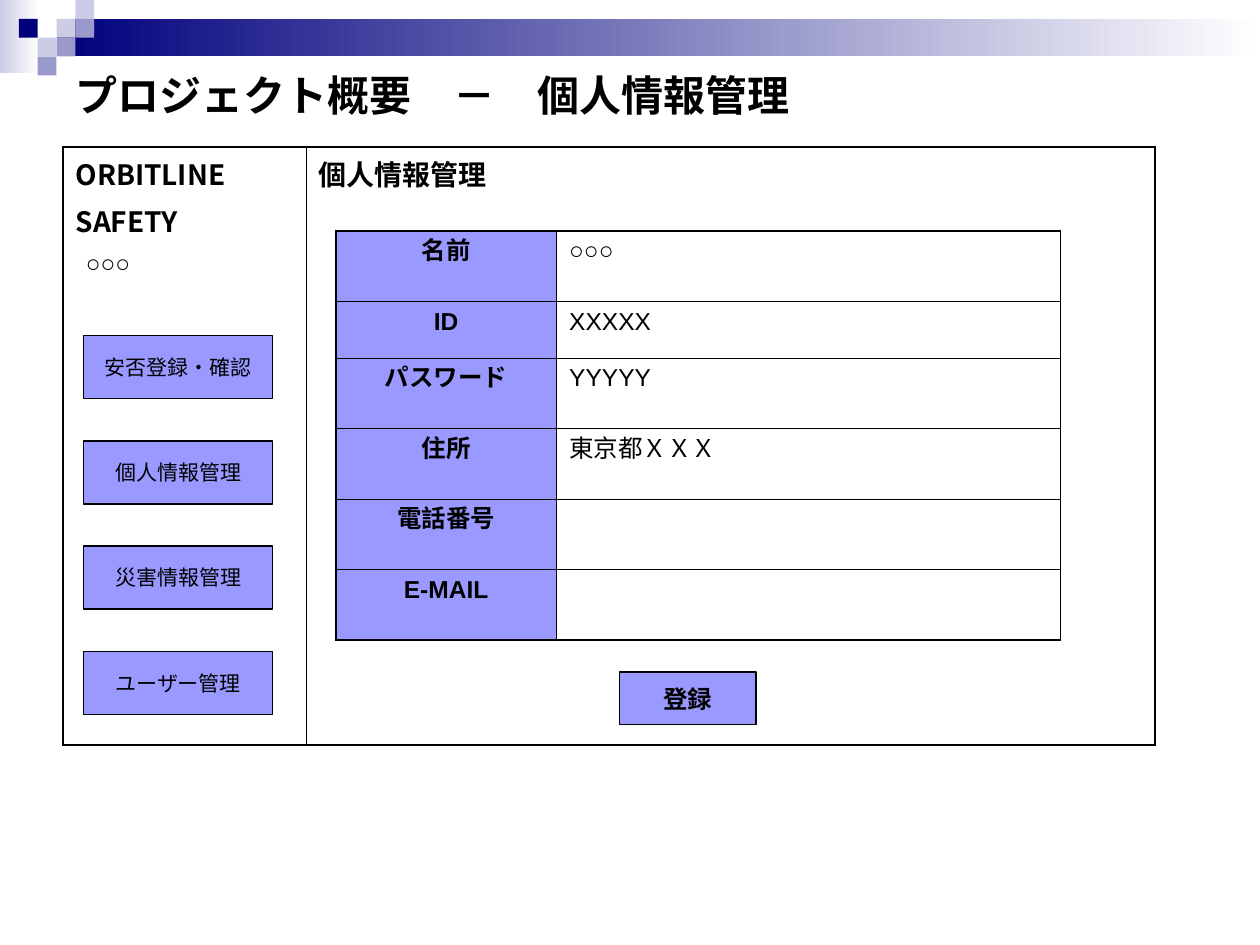
from dataclasses import dataclass
from typing import NamedTuple

from lxml.etree import SubElement
from pptx import Presentation
from pptx.dml.color import RGBColor as Rgb
from pptx.enum.shapes import MSO_SHAPE as Geo
from pptx.enum.text import MSO_ANCHOR as Anchor, PP_ALIGN as Align
from pptx.oxml.ns import qn
from pptx.util import Cm, Pt


@dataclass(frozen=True)
class Theme:
    black: str = "000000"
    white: str = "FFFFFF"
    navy: str = "00007D"
    mid: str = "9999CC"
    pale: str = "CCCCE6"
    key: str = "9999FF"
    font: str = "Arial"
    head_font: str = "Noto Sans CJK JP"
    title: float = 24
    head: float = 16
    body: float = 14
    small: float = 12
    thick: float = 1.08
    thin: float = 0.45
    edge: float = 0.75


class Box(NamedTuple):
    left: float
    top: float
    width: float
    height: float

    def cm(self) -> list:
        return [Cm(n) for n in self]


class Square(NamedTuple):
    col: int
    row: int
    color: str


class Field(NamedTuple):
    label: str
    value: str
    height: float


T = Theme()
UNIT = 0.38
SQUARES = [
    Square(3, 1, T.pale), Square(4, 0, T.pale), Square(4, 1, T.mid),
    Square(2, 2, T.pale), Square(1, 1, T.navy), Square(3, 2, T.mid),
    Square(2, 3, T.mid),
]
MENU = ["安否登録・確認", "個人情報管理", "災害情報管理", "ユーザー管理"]
FIELDS = [
    Field("名前", "○○○", 1.42),
    Field("ID", "XXXXX", 1.14),
    Field("パスワード", "YYYYY", 1.42),
    Field("住所", "東京都ＸＸＸ", 1.42),
    Field("電話番号", "", 1.42),
    Field("E-MAIL", "", 1.42),
]


def write(frame, text: str, *, size: float = T.body, bold: bool = False,
          font: str = T.font, align=Align.LEFT, before: float = 0) -> None:
    """Fill a text frame, one paragraph to a line."""
    for i, line in enumerate(text.split("\n")):
        para = frame.add_paragraph() if i else frame.paragraphs[0]
        para.alignment = align
        para.space_before = Pt(before)
        run = para.add_run()
        run.text = line
        run.font.size, run.font.bold, run.font.name = Pt(size), bold, font
        run.font.color.rgb = Rgb.from_string(T.black)
        SubElement(run.font._element, qn("a:ea"), typeface=font)


def add_rect(slide, box: Box, color: str):
    rect = slide.shapes.add_shape(Geo.RECTANGLE, *box.cm())
    rect.shadow.inherit = False
    rect.line.fill.background()
    rect.fill.solid()
    rect.fill.fore_color.rgb = Rgb.from_string(color)
    return rect


def add_fade(slide, box: Box, color: str) -> None:
    fill = add_rect(slide, box, color).fill
    fill.gradient()
    fill.gradient_angle = 180
    for stop, tone in zip(fill.gradient_stops, (T.white, color)):
        stop.color.rgb = Rgb.from_string(tone)


def add_button(slide, box: Box, text: str, **style) -> None:
    rect = add_rect(slide, box, T.key)
    rect.line.color.rgb = Rgb.from_string(T.black)
    rect.line.width = Pt(T.edge)
    frame = rect.text_frame
    frame.word_wrap = False
    frame.vertical_anchor = Anchor.MIDDLE
    write(frame, text, align=Align.CENTER, **style)


def add_label(slide, box: Box, text: str, anchor=Anchor.TOP, **style) -> None:
    frame = slide.shapes.add_textbox(*box.cm()).text_frame
    frame.word_wrap = True
    frame.vertical_anchor = anchor
    write(frame, text, **style)


def add_grid(slide, left: float, top: float, cols: list[float],
             rows: list[float]):
    """Add a plain table: thick lines round it, thin lines inside."""
    box = Box(left, top, sum(cols), sum(rows))
    grid = slide.shapes.add_table(len(rows), len(cols), *box.cm()).table
    grid.first_row = grid.horz_banding = False
    for col, width in zip(grid.columns, cols):
        col.width = Cm(width)
    for row, height in zip(grid.rows, rows):
        row.height = Cm(height)
    for r in range(len(rows)):
        for c in range(len(cols)):
            outer = {"L": c == 0, "R": c == len(cols) - 1,
                     "T": r == 0, "B": r == len(rows) - 1}
            cell = grid.cell(r, c)
            props = cell._tc.get_or_add_tcPr()
            for side, out in outer.items():
                width = Pt(T.thick if out else T.thin)
                line = SubElement(props, qn(f"a:ln{side}"), w=str(width))
                fill = SubElement(line, qn("a:solidFill"))
                SubElement(fill, qn("a:srgbClr"), val=T.black)
            cell.fill.background()
    return grid


def paint(cell, color: str) -> None:
    cell.fill.solid()
    cell.fill.fore_color.rgb = Rgb.from_string(color)


def main() -> None:
    deck = Presentation()
    deck.slide_width, deck.slide_height = Cm(25.4), Cm(19.05)
    slide = deck.slides.add_slide(deck.slide_layouts[6])

    # Top band and squares
    add_fade(slide, Box(0, 0, 0.79, 1.47), T.pale)
    add_fade(slide, Box(3 * UNIT, UNIT, 25.4 - 3 * UNIT, 2 * UNIT), T.navy)
    for sq in SQUARES:
        add_rect(slide, Box(sq.col * UNIT, sq.row * UNIT, UNIT, UNIT), sq.color)

    # Title
    add_label(slide, Box(1.27, 1.27, 22.86, 1.27),
              "プロジェクト概要　－　個人情報管理", Anchor.MIDDLE,
              size=T.title, bold=True)

    # Screen frame: menu side and page side
    frame = add_grid(slide, 1.27, 2.96, [4.9, 17.12], [12.06])
    for c, text in enumerate(["ORBITLINE\nSAFETY", "個人情報管理"]):
        write(frame.cell(0, c).text_frame, text, size=T.head, bold=True,
              font=T.head_font, before=4)

    # Menu
    for i, text in enumerate(MENU):
        add_button(slide, Box(1.69, 6.77 + 2.12 * i, 3.81, 1.27), text,
                   size=T.small)

    # Form
    form = add_grid(slide, 6.77, 4.66, [4.45, 10.16],
                    [f.height for f in FIELDS])
    for r, field in enumerate(FIELDS):
        label, value = form.cell(r, 0), form.cell(r, 1)
        paint(label, T.key)
        paint(value, T.white)
        write(label.text_frame, field.label, bold=True, align=Align.CENTER,
              before=3.5)
        if field.value:
            write(value.text_frame, field.value, before=3.5)

    # User name and submit button
    add_label(slide, Box(1.48, 4.87, 3.39, 0.86), "○○○", before=8.8)
    add_button(slide, Box(12.49, 13.55, 2.75, 1.06), "登録", bold=True)

    deck.save("out.pptx")


if __name__ == "__main__":
    main()
